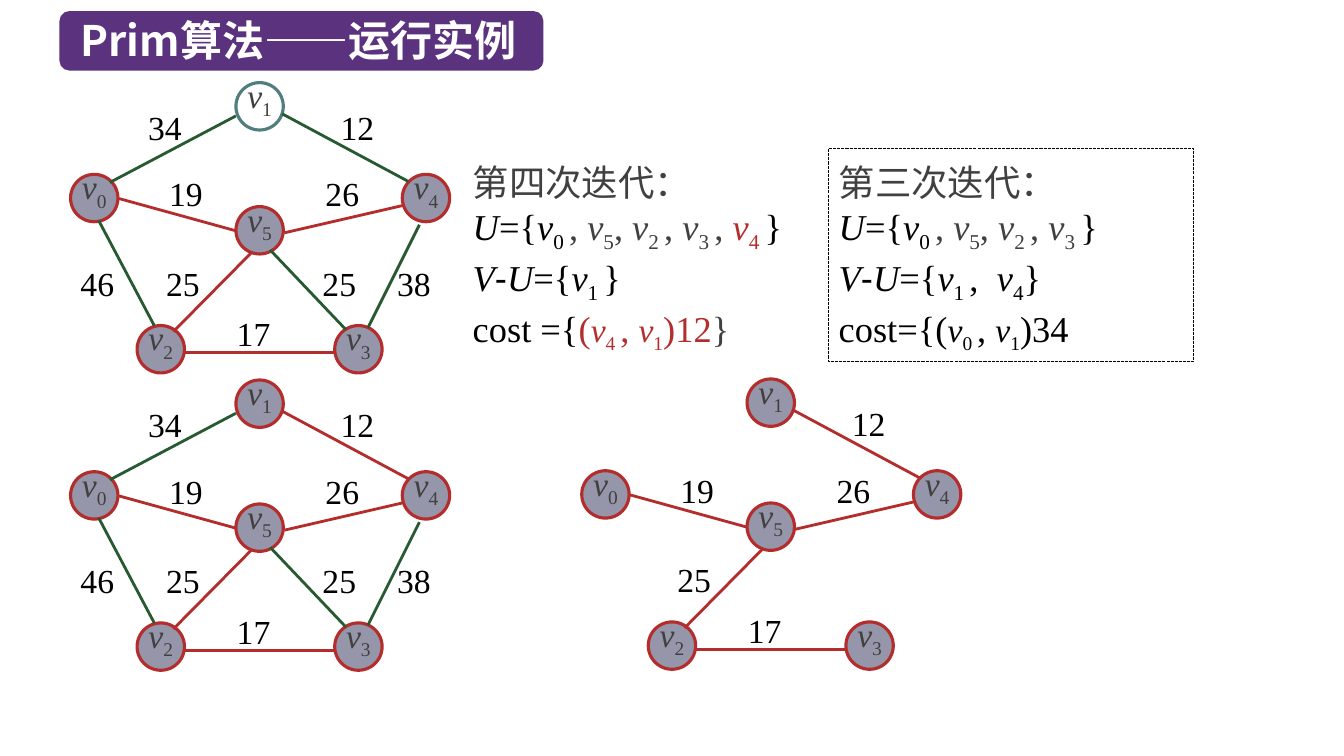
from lxml.etree import SubElement
from pptx import Presentation
from pptx.dml.color import RGBColor
from pptx.enum.dml import MSO_LINE_DASH_STYLE as Dash
from pptx.enum.shapes import MSO_CONNECTOR as Connector, MSO_SHAPE as Shape
from pptx.enum.text import MSO_ANCHOR as Anchor, PP_ALIGN as Align
from pptx.oxml.ns import qn
from pptx.util import Inches, Pt

COLORS = {
    "white": "FFFFFF", "black": "000000", "gray": "404040", "purple": "5A327D",
    "red": "B42D2D", "green": "285A32", "teal": "507D7D", "visited": "9696AA",
}
SERIF, CHINESE = "Times New Roman", "Noto Sans CJK SC"
NODE_SIZE = 0.47
NODES = {
    "0": (0.7, 1.73), "1": (2.34, 0.82), "2": (1.36, 3.23),
    "3": (3.32, 3.23), "4": (3.99, 1.73), "5": (2.34, 2.05),
}
# edge: start, end, weight, label position
EDGES = {
    "01": ((2.34, 1.15), (1.09, 1.81), "34", (1.37, 1.01)),
    "14": ((4.05, 1.8), (2.8, 1.13), "12", (3.28, 1.01)),
    "05": ((2.34, 2.29), (1.18, 1.97), "19", (1.58, 1.67)),
    "45": ((3.99, 2.04), (2.82, 2.31), "26", (3.13, 1.67)),
    "25": ((2.5, 2.5), (1.72, 3.29), "25", (1.55, 2.56)),
    "35": ((3.43, 3.27), (2.68, 2.48), "25", (3.1, 2.56)),
    "02": ((1.53, 3.23), (0.98, 2.19), "46", (0.7, 2.56)),
    "34": ((4.16, 2.23), (3.65, 3.25), "38", (3.84, 2.56)),
    "23": ((1.82, 3.5), (3.32, 3.5), "17", (2.25, 3.06)),
}
TREE_BEFORE = {"05", "45", "25", "23"}
TREE_AFTER = TREE_BEFORE | {"14"}


def color(name):
    return RGBColor.from_string(COLORS[name])


def plain(text, tint="black", size=26, **style):
    return {"text": text, "tint": tint, "size": size, **style}


def vertex(index, tint="black", size=26):
    return [plain("v", tint, size, italic=True), plain(index, tint, size, subscript=True)]


class SlideBuilder:
    def __init__(self, presentation):
        self.slide = presentation.slides.add_slide(presentation.slide_layouts[5])

    def font(self, paragraph, name, size, tint, bold=None):
        font = paragraph.font
        font.name, font.size, font.bold = name, Pt(size), bold
        font.color.rgb = color(tint)
        if name == CHINESE:
            properties = paragraph._p.pPr.find(qn("a:defRPr"))
            SubElement(properties, qn("a:ea")).set("typeface", name)

    def runs(self, paragraph, runs):
        for item in runs:
            run = paragraph.add_run()
            run.text = item["text"]
            font = run.font
            font.size = Pt(item["size"])
            font.color.rgb = color(item["tint"])
            if item.get("italic"):
                font.italic = True
            if item.get("subscript"):
                font._element.set("baseline", "-25000")
            if "font" in item:
                font.name = item["font"]

    def shape(self, kind, left, top, width, height, fill=None, line=None, weight=2.25):
        shape = self.slide.shapes.add_shape(
            kind, Inches(left), Inches(top), Inches(width), Inches(height))
        shape.shadow.inherit = False
        if fill:
            shape.fill.solid()
            shape.fill.fore_color.rgb = color(fill)
        else:
            shape.fill.background()
        if line:
            shape.line.color.rgb = color(line)
            shape.line.width = Pt(weight)
        else:
            shape.line.fill.background()
        shape.text_frame.vertical_anchor = Anchor.TOP
        return shape

    def textbox(self, left, top, width, height):
        box = self.slide.shapes.add_textbox(
            Inches(left), Inches(top), Inches(width), Inches(height))
        box.text_frame.word_wrap = True
        return box

    def title(self, text):
        self.shape(Shape.ROUNDED_RECTANGLE, 0.59, 0.11, 4.8, 0.59, "purple")
        title = self.slide.shapes.title
        title.left, title.top = Inches(0.7), Inches(0.07)
        title.width, title.height = Inches(4.69), Inches(0.64)
        frame = title.text_frame
        frame.text = text
        frame.word_wrap = False
        frame.vertical_anchor = Anchor.MIDDLE
        paragraph = frame.paragraphs[0]
        paragraph.alignment = Align.LEFT
        self.font(paragraph, CHINESE, 30, "white", True)
        self.slide.shapes._spTree.append(title._element)

    def node(self, index, left, top, visited):
        fill, line = ("visited", "red") if visited else (None, "teal")
        shape = self.shape(Shape.OVAL, left, top, NODE_SIZE, NODE_SIZE, fill, line)
        frame = shape.text_frame
        frame.margin_left = frame.margin_right = frame.margin_top = frame.margin_bottom = 0
        paragraph = frame.paragraphs[0]
        paragraph.alignment = Align.CENTER
        paragraph.line_spacing = Pt(22)
        self.font(paragraph, SERIF, 24, "gray")
        self.runs(paragraph, vertex(index, "gray", 24))

    def edge(self, start, end, tint):
        line = self.slide.shapes.add_connector(
            Connector.STRAIGHT, *(Inches(value) for value in (*start, *end)))
        line.line.color.rgb = color(tint)
        line.line.width = Pt(2)
        SubElement(line._element.spPr, qn("a:effectLst"))

    def label(self, text, left, top):
        paragraph = self.textbox(left, top, 0.66, 0.5).text_frame.paragraphs[0]
        paragraph.text = text
        self.font(paragraph, SERIF, 24, "black")

    def graph(self, right, down, tree, edges=EDGES, unvisited=""):
        def moved(point):
            return point[0] + right, point[1] + down

        for index, corner in NODES.items():
            self.node(index, *moved(corner), index not in unvisited)
        for name in edges:
            start, end, weight, place = EDGES[name]
            self.edge(moved(start), moved(end), "red" if name in tree else "green")
            self.label(weight, *moved(place))

    def iteration(self, shape, heading, *lines):
        frame = shape.text_frame
        frame.word_wrap = True
        paragraph = frame.paragraphs[0]
        paragraph.text = heading
        paragraph.alignment = Align.LEFT
        paragraph.line_spacing = Pt(36)
        self.font(paragraph, CHINESE, 26, "gray")
        for line in lines:
            paragraph = frame.add_paragraph()
            paragraph.alignment = Align.LEFT
            paragraph.line_spacing = Pt(36)
            self.font(paragraph, SERIF, 26, "black")
            self.runs(paragraph, line)


def main():
    presentation = Presentation()
    presentation.slide_width, presentation.slide_height = Inches(13.33), Inches(7.5)
    builder = SlideBuilder(presentation)
    builder.title("Prim算法——运行实例")
    builder.graph(0, 0, TREE_BEFORE, unvisited="1")
    builder.graph(5.07, 2.94, TREE_AFTER, edges=[name for name in EDGES if name in TREE_AFTER])
    builder.graph(0, 2.95, TREE_AFTER)

    comma = plain(", ", "gray")
    chosen = [plain("U", italic=True), plain("={"), *vertex("0 "), comma,
              *vertex("5", "gray"), comma, *vertex("2 ", "gray"), comma, *vertex("3 ", "gray")]
    remaining = [plain("V", italic=True), plain("-", font="Arial"),
                 plain("U", italic=True), plain("={"), *vertex("1 ")]
    close = plain("}")

    builder.iteration(
        builder.textbox(4.59, 1.47, 8.32, 2.12), "第四次迭代：",
        [*chosen, comma, *vertex("4 ", "red"), close],
        [*remaining, close],
        [plain("cost ={"), plain("(", "red"), *vertex("4 ", "red", 24), plain(", ", "red"),
         *vertex("1", "red", 24), plain(")12", "red"), plain("}", "gray")])

    previous = builder.shape(Shape.RECTANGLE, 8.22, 1.47, 3.62, 2.12, line="black", weight=0.75)
    previous.line.dash_style = Dash.SQUARE_DOT
    builder.iteration(
        previous, "第三次迭代：",
        [*chosen, close],
        [*remaining, plain(",  "), *vertex("4"), close],
        [plain("cost={("), *vertex("0 ", size=24), plain(", "),
         *vertex("1", size=24), plain(")34")])
    presentation.save("out.pptx")


if __name__ == "__main__":
    main()
